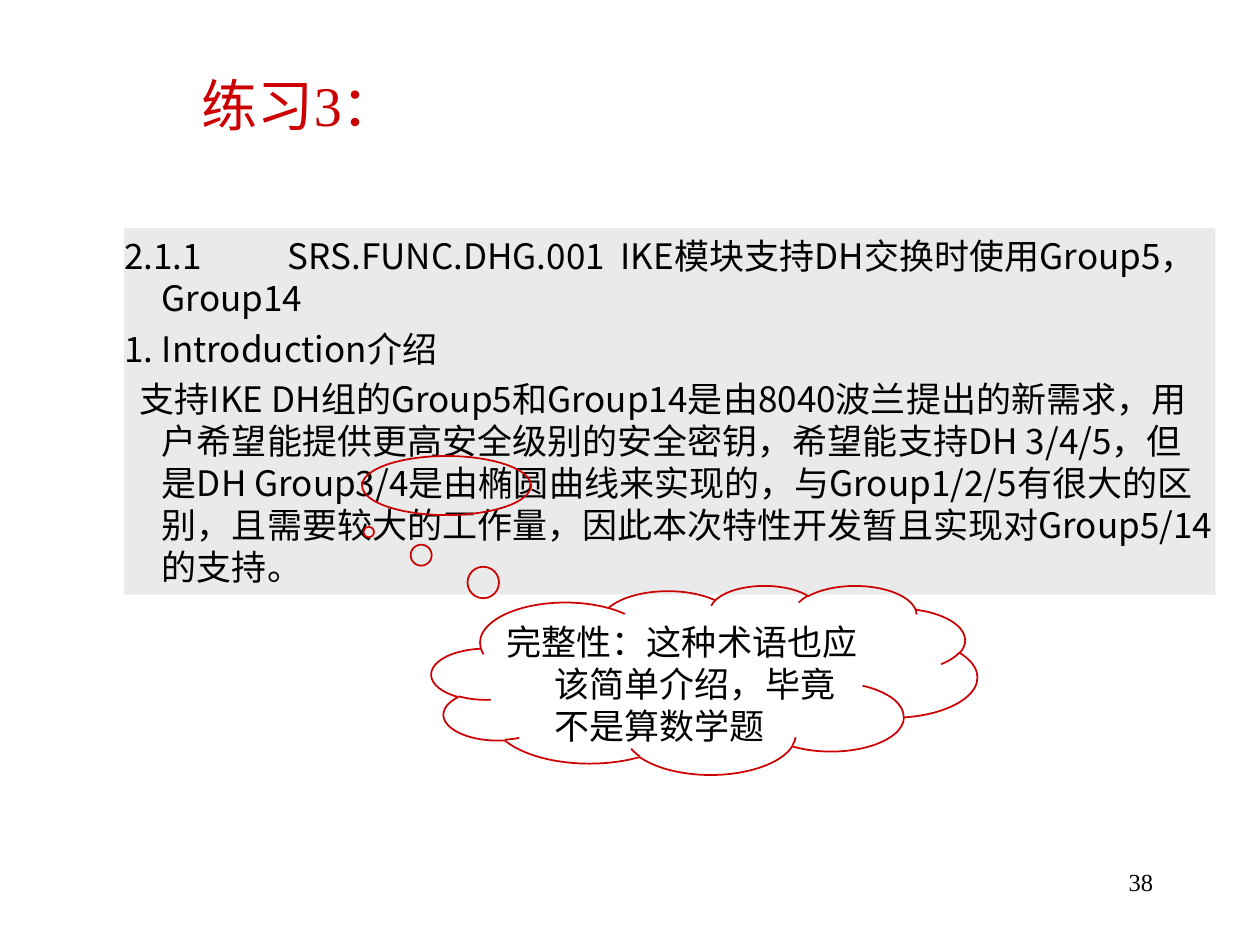
from lxml import etree
from pptx import Presentation
from pptx.dml.color import RGBColor
from pptx.enum.shapes import MSO_SHAPE
from pptx.enum.text import MSO_ANCHOR, MSO_AUTO_SIZE, PP_ALIGN
from pptx.oxml.ns import qn
from pptx.util import Pt

RECTANGLE, OVAL, CLOUD = MSO_SHAPE.RECTANGLE, MSO_SHAPE.OVAL, MSO_SHAPE.CLOUD_CALLOUT
TOP, MIDDLE = MSO_ANCHOR.TOP, MSO_ANCHOR.MIDDLE
LEFT, RIGHT = PP_ALIGN.LEFT, PP_ALIGN.RIGHT
NO_AUTOFIT = MSO_AUTO_SIZE.NONE

COLORS = {"background": "FFFFFF", "panel": "EAEAEA", "accent": "CC0000", "text": "000000"}
SERIF, SANS = "Times New Roman", "Noto Sans CJK SC"

# Each requirement paragraph with its first-line indent in points
REQUIREMENT = [
    ("2.1.1\tSRS.FUNC.DHG.001  IKE模块支持DH交换时使用Group5，Group14", -21.6),
    ("1.\tIntroduction介绍", -21.6),
    ("支持IKE DH组的Group5和Group14是由8040波兰提出的新需求，用户希望能提供更高安全级别的"
     "安全密钥，希望能支持DH 3/4/5，但是DH Group3/4是由椭圆曲线来实现的，与Group1/2/5有很大"
     "的区别，且需要较大的工作量，因此本次特性开发暂且实现对Group5/14的支持。", -12.6),
]
COMMENT = "完整性：这种术语也应该简单介绍，毕竟不是算数学题"


def color(name):
    return RGBColor.from_string(COLORS[name])


def set_font(paragraph, name, size, color_name):
    """Use the named font for Latin text and the sans font for Chinese."""
    font = paragraph.font
    font.name, font.size = name, Pt(size)
    font.color.rgb = color(color_name)
    east_asian = etree.Element(qn("a:ea"), typeface=SANS)
    font._element.find(qn("a:latin")).addnext(east_asian)


def set_frame(frame, anchor, side_margin, end_margin):
    frame.word_wrap = True
    frame.auto_size = NO_AUTOFIT
    frame.vertical_anchor = anchor
    frame.margin_left = frame.margin_right = Pt(side_margin)
    frame.margin_top = frame.margin_bottom = Pt(end_margin)


def add_hanging_text(frame, items, margin):
    """Fill a frame with hanging paragraphs and one-inch tab stops."""
    for index, (text, indent) in enumerate(items):
        paragraph = frame.paragraphs[0] if index == 0 else frame.add_paragraph()
        paragraph.text = text
        paragraph.alignment = LEFT
        paragraph.line_spacing = Pt(24)
        if index:
            paragraph.space_before = Pt(5)
        properties = paragraph._p.get_or_add_pPr()
        properties.set("marL", str(Pt(margin)))
        properties.set("indent", str(Pt(indent)))
        properties.set("defTabSz", str(Pt(72)))
        properties.set("hangingPunct", "0")
        tabs = etree.SubElement(properties, qn("a:tabLst"))
        for stop in range(8):
            etree.SubElement(tabs, qn("a:tab"), pos=str(Pt(72 * stop)), algn="l")
        set_font(paragraph, SANS, 20, "text")


def add_box(slide, kind, box, fill=None, line=None):
    shape = slide.shapes.add_shape(kind, *map(Pt, box))
    shape.shadow.inherit = False
    if fill:
        shape.fill.solid()
        shape.fill.fore_color.rgb = color(fill)
    else:
        shape.fill.background()
    if line:
        shape.line.color.rgb = color(line)
        shape.line.width = Pt(1)
    else:
        shape.line.fill.background()
    return shape


def add_page_number(slide, box):
    frame = slide.shapes.add_textbox(*map(Pt, box)).text_frame
    set_frame(frame, TOP, 7.2, 3.6)
    paragraph = frame.paragraphs[0]
    paragraph.text = "38"
    paragraph.alignment = RIGHT
    set_font(paragraph, SERIF, 14, "text")


def place_title(slide, box):
    title = slide.shapes.title
    title.left, title.top, title.width, title.height = map(Pt, box)
    title.fill.solid()
    title.fill.fore_color.rgb = color("background")
    set_frame(title.text_frame, MIDDLE, 7.2, 3.6)
    paragraph = title.text_frame.paragraphs[0]
    paragraph.text = "练习3："
    paragraph.alignment = LEFT
    set_font(paragraph, SERIF, 32, "accent")


def add_requirement(slide, box):
    """Grey panel with the requirement and a ring around the unexplained term."""
    left, top, width, height = box
    panel = add_box(slide, RECTANGLE, box, fill="panel")
    set_frame(panel.text_frame, TOP, 0, 3.6)
    add_hanging_text(panel.text_frame, REQUIREMENT, 21.6)
    add_box(slide, OVAL, (left + 136, top + 130.3, 96.5, 33.8), line="accent")


def add_comment(slide, box):
    """Thought cloud whose bubbles lead back to the ringed term."""
    cloud = add_box(slide, CLOUD, box, line="accent")
    cloud.adjustments[0], cloud.adjustments[1] = -0.615, -0.782
    set_frame(cloud.text_frame, TOP, 0, 3.6)
    add_hanging_text(cloud.text_frame, [(COMMENT, -27.4)], 27.4)


def main():
    presentation = Presentation()
    presentation.slide_width, presentation.slide_height = Pt(720), Pt(540)
    title_only = presentation.slide_layouts[5]
    slide = presentation.slides.add_slide(title_only)
    add_page_number(slide, (516.2, 491.8, 149.8, 36))
    place_title(slide, (108, 25.9, 545, 67.7))
    add_requirement(slide, (70.9, 130.3, 623.6, 209.5))
    add_comment(slide, (246.6, 334.5, 311.8, 108))
    presentation.save("out.pptx")


if __name__ == "__main__":
    main()
